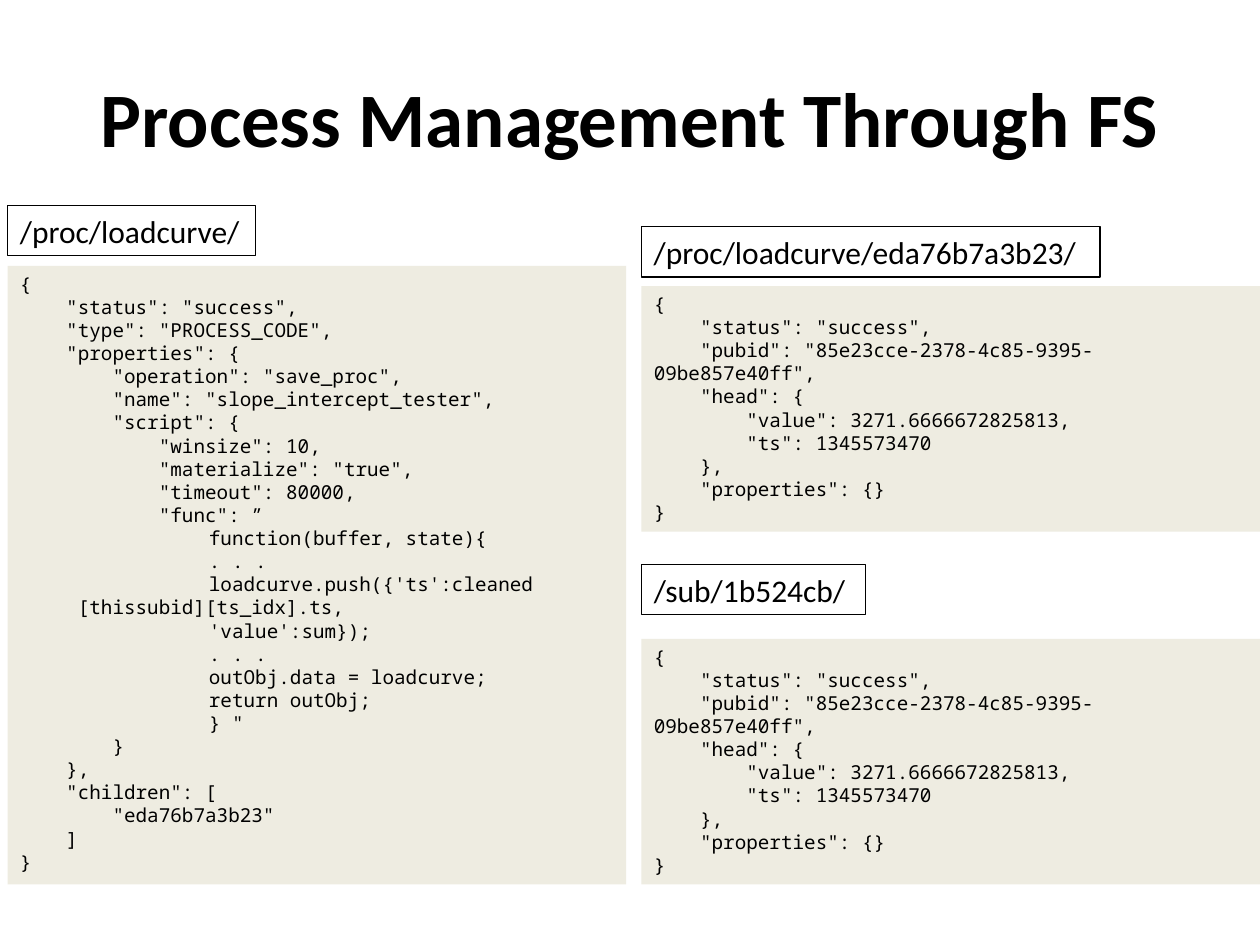
from pptx import Presentation, util as u
from pptx.dml.color import RGBColor
from pptx.enum import shapes, text

BLACK = RGBColor(0x00, 0x00, 0x00)
CODE_FILL = RGBColor(0xEE, 0xEC, 0xE1)

LEFT_COLUMN, RIGHT_COLUMN = 0.06, 5.09
CODE_WIDTH, LABEL_HEIGHT = 4.91, 0.4

PROCESS_CODE = """{
    "status": "success",
    "type": "PROCESS_CODE",
    "properties": {
        "operation": "save_proc",
        "name": "slope_intercept_tester",
        "script": {
            "winsize": 10,
            "materialize": "true",
            "timeout": 80000,
            "func": ”
\t\t\tfunction(buffer, state){
\t\t\t. . .
\t\t\tloadcurve.push({'ts':cleaned\t\t\t     [thissubid][ts_idx].ts,
\t\t \t'value':sum});
\t\t\t. . .
\t\t\toutObj.data = loadcurve;
\t\t\treturn outObj;
\t\t\t} "
        }
    },
    "children": [
        "eda76b7a3b23"
    ]
}"""

STREAM_CODE = """{
    "status": "success",
    "pubid": "85e23cce-2378-4c85-9395-09be857e40ff",
    "head": {
        "value": 3271.6666672825813,
        "ts": 1345573470
    },
    "properties": {}
}"""


class SlideBuilder:
    body_font = "Calibri"
    code_font = "Noto Sans Mono"
    title_size, label_size, code_size = 44, 18, 11
    tab_width = u.Inches(0.5)

    def __init__(self, slide):
        self.s = slide

    def run(self, p, words, font, size, bold=False):
        r = p.add_run()
        r.text = words
        r.font.name = font
        r.font.size = u.Pt(size)
        r.font.bold = bold
        r.font.color.rgb = BLACK

    def title(self, words, left, top, width, height):
        sp = self.s.shapes.add_textbox(*map(u.Inches, (left, top, width, height)))
        tf = sp.text_frame
        tf.word_wrap = True
        tf.vertical_anchor = text.MSO_ANCHOR.MIDDLE
        p = tf.paragraphs[0]
        p.alignment = text.PP_ALIGN.CENTER
        self.run(p, words, self.body_font, self.title_size, bold=True)

    def box(self, left, top, width, height):
        """Add a rectangle with top-anchored text that grows to fit."""
        sp = self.s.shapes.add_shape(
            shapes.MSO_SHAPE.RECTANGLE, *map(u.Inches, (left, top, width, height)))
        sp.shadow.inherit = False
        tf = sp.text_frame
        tf.word_wrap = True
        tf.auto_size = text.MSO_AUTO_SIZE.SHAPE_TO_FIT_TEXT
        tf.vertical_anchor = text.MSO_ANCHOR.TOP
        return sp

    def label(self, words, left, top, width, wrap=True):
        sp = self.box(left, top, width, LABEL_HEIGHT)
        sp.fill.background()
        sp.line.color.rgb = BLACK
        sp.line.width = u.Pt(0.75)
        sp.text_frame.word_wrap = wrap
        p = sp.text_frame.paragraphs[0]
        p.alignment = text.PP_ALIGN.LEFT
        self.run(p, words, self.body_font, self.label_size)

    def code(self, source, left, top, height):
        sp = self.box(left, top, CODE_WIDTH, height)
        sp.fill.solid()
        sp.fill.fore_color.rgb = CODE_FILL
        sp.line.fill.background()
        tf = sp.text_frame
        for i, line in enumerate(source.split("\n")):
            p = tf.add_paragraph() if i else tf.paragraphs[0]
            p.alignment = text.PP_ALIGN.LEFT
            p._p.get_or_add_pPr().set("defTabSz", str(self.tab_width))
            self.run(p, line, self.code_font, self.code_size)


def main():
    prs = Presentation()
    prs.slide_width, prs.slide_height = u.Inches(10), u.Inches(7.5)
    b = SlideBuilder(prs.slides.add_slide(prs.slide_layouts[6]))

    b.title("Process Management Through FS", 0.5, 0.3, 9, 1.25)

    b.label("/proc/loadcurve/", LEFT_COLUMN, 1.63, 1.97, wrap=False)
    b.code(PROCESS_CODE, LEFT_COLUMN, 2.11, 4.91)

    b.label("/proc/loadcurve/eda76b7a3b23/", RIGHT_COLUMN, 1.8, 3.64)
    b.code(STREAM_CODE, RIGHT_COLUMN, 2.27, 1.95)

    b.label("/sub/1b524cb/", RIGHT_COLUMN, 4.48, 1.78)
    b.code(STREAM_CODE, RIGHT_COLUMN, 5.07, 1.95)

    prs.save("out.pptx")


if __name__ == "__main__":
    main()
